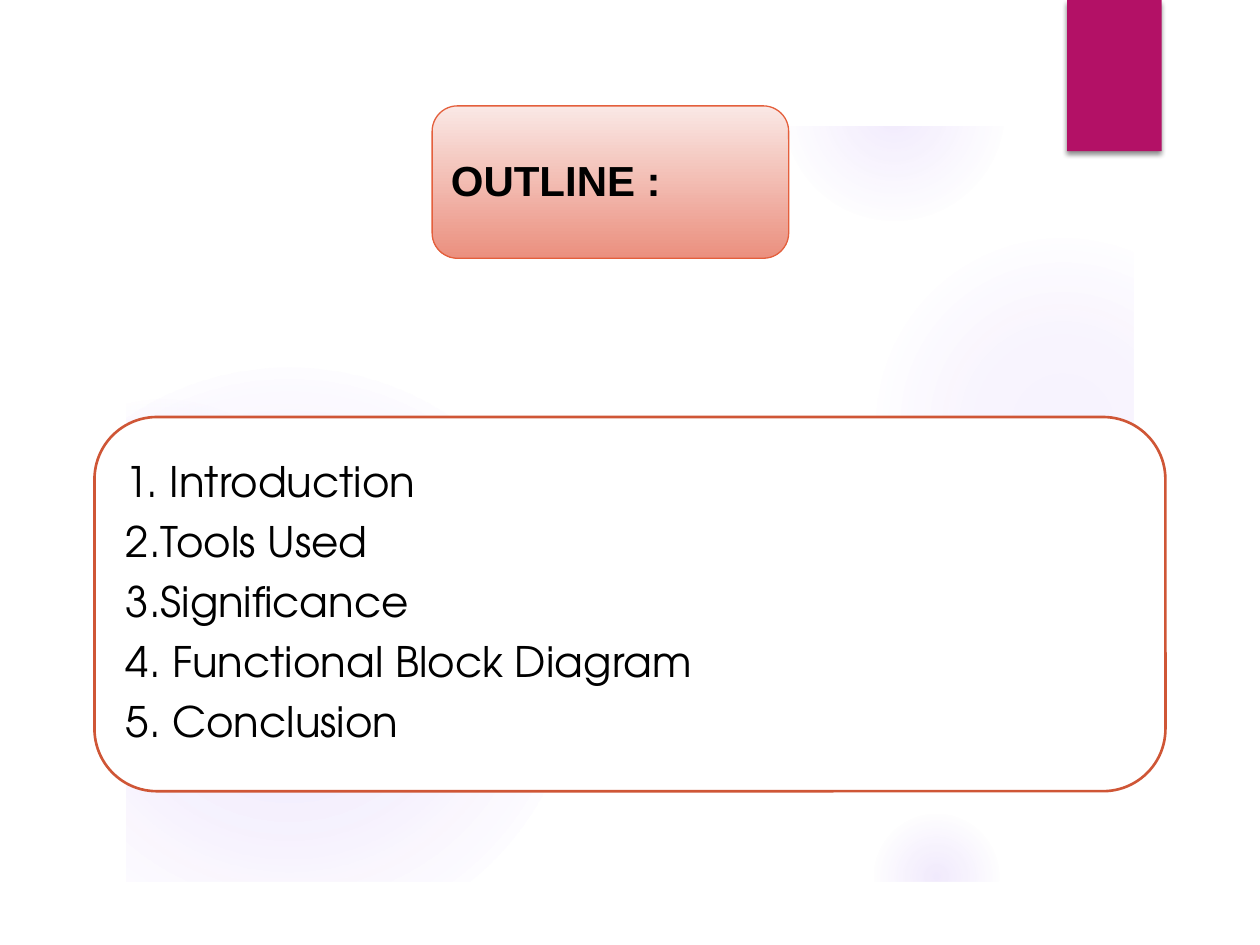
from lxml import etree
from pptx import Presentation
from pptx.dml.color import RGBColor
from pptx.enum.shapes import MSO_SHAPE as Preset
from pptx.enum.text import MSO_ANCHOR as Anchor, PP_ALIGN as Align
from pptx.oxml.ns import qn
from pptx.util import Inches, Pt

GLOW = "9B6BF2"


def color(value):
    return RGBColor.from_string(value)


def add_child(parent, tag, **attributes):
    return etree.SubElement(parent, qn(tag), {k: str(v) for k, v in attributes.items()})


def add_color(parent, value, opacity=100):
    element = add_child(parent, "a:srgbClr", val=value)
    if opacity < 100:
        add_child(element, "a:alpha", val=opacity * 1000)


def add_preset(slide, preset, box, fill=None, line=None, line_width=0.75):
    shape = slide.shapes.add_shape(preset, *map(Inches, box))
    shape.shadow.inherit = False
    if fill:
        shape.fill.solid()
        shape.fill.fore_color.rgb = color(fill)
    else:
        shape.fill.background()
    if line:
        shape.line.color.rgb = color(line)
        shape.line.width = Pt(line_width)
    else:
        shape.line.fill.background()
    return shape


def set_gradient(shape, stops, circular=False):
    properties = shape._element.spPr
    empty_fill = properties.find(qn("a:noFill"))
    gradient = etree.Element(qn("a:gradFill"), rotWithShape="1")
    stop_list = add_child(gradient, "a:gsLst")
    for position, value, opacity in stops:
        add_color(add_child(stop_list, "a:gs", pos=position * 1000), value, opacity)
    if circular:
        path = add_child(gradient, "a:path", path="circle")
        add_child(path, "a:fillToRect", l=50000, t=50000, r=50000, b=50000)
    else:
        add_child(gradient, "a:lin", ang=90 * 60000, scaled=0)
    properties.replace(empty_fill, gradient)


def add_glow(slide, left, top, size, center, middle, edge):
    shape = add_preset(slide, Preset.OVAL, (left, top, size, size))
    stops = [(0, GLOW, center), (36, GLOW, middle), (edge, GLOW, 0)]
    set_gradient(shape, stops, circular=True)


def add_frame(slide):
    builder = slide.shapes.build_freeform(0, 0, scale=Inches(1))
    builder.add_line_segments([(0, 7.5), (10, 7.5), (10, 0)], close=True)
    builder.move_to(9.45, 6.95)
    builder.add_line_segments([(0.56, 6.95), (0.56, 0.56), (9.45, 0.56)], close=True)
    frame = builder.convert_to_shape()
    frame.shadow.inherit = False
    frame.fill.solid()
    frame.fill.fore_color.rgb = color("FFFFFF")
    frame.line.fill.background()


def add_tab(slide):
    tab = add_preset(slide, Preset.RECTANGLE, (8.47, 0, 0.75, 1.2), "B31166")
    effects = tab._element.spPr.find(qn("a:effectLst"))
    shadow = add_child(effects, "a:outerShdw", blurRad=Pt(3), dist=Pt(2),
                       dir=90 * 60000, rotWithShape=0)
    add_color(shadow, "000000", 45)


def add_text(slide, box, lines, font, bold=False):
    frame = slide.shapes.add_textbox(*map(Inches, box)).text_frame
    frame.word_wrap = True
    frame.vertical_anchor = Anchor.MIDDLE
    frame.margin_left = frame.margin_right = Inches(0.1)
    frame.margin_top = frame.margin_bottom = Inches(0.1)
    for index, line in enumerate(lines):
        paragraph = frame.add_paragraph() if index else frame.paragraphs[0]
        paragraph.alignment = Align.LEFT
        paragraph.line_spacing = 0.9
        paragraph.space_after = Pt(8.4)
        run = paragraph.add_run()
        run.text = line
        run.font.name = font
        run.font.size = Pt(24)
        run.font.bold = bold
        run.font.color.rgb = color("000000")


def main():
    presentation = Presentation()
    presentation.slide_width = Inches(10)
    presentation.slide_height = Inches(7.5)
    slide = presentation.slides.add_slide(presentation.slide_layouts[6])

    for glow in [
        (0, 3.17, 2.58, 8, 8, 72),
        (6.89, 1.83, 3.08, 7, 6, 69),
        (6.22, 0, 1.75, 14, 7, 73),
        (6.89, 6.42, 1.08, 14, 7, 66),
        (0, 2.92, 4.58, 11, 10, 75),
    ]:
        add_glow(slide, *glow)
    add_frame(slide)
    add_tab(slide)

    title = add_preset(slide, Preset.ROUNDED_RECTANGLE, (3.43, 0.84, 2.83, 1.21), line="E45F3C")
    set_gradient(title, [(0, "FAE8E5", 100), (100, "EB907F", 100)])
    add_text(slide, (3.48, 0.9, 2.72, 1.1), ["OUTLINE :"], "Arial", bold=True)

    add_preset(slide, Preset.ROUNDED_RECTANGLE, (0.75, 3.31, 8.5, 2.97), "FFFFFF", "CF5636", 1.5)
    topics = ["1. Introduction", "2.Tools Used", "3.Significance",
              "4. Functional Block Diagram", "5. Conclusion"]
    add_text(slide, (0.9, 3.45, 8.21, 2.68), topics, "TeX Gyre Adventor")

    presentation.save("out.pptx")


if __name__ == "__main__":
    main()
